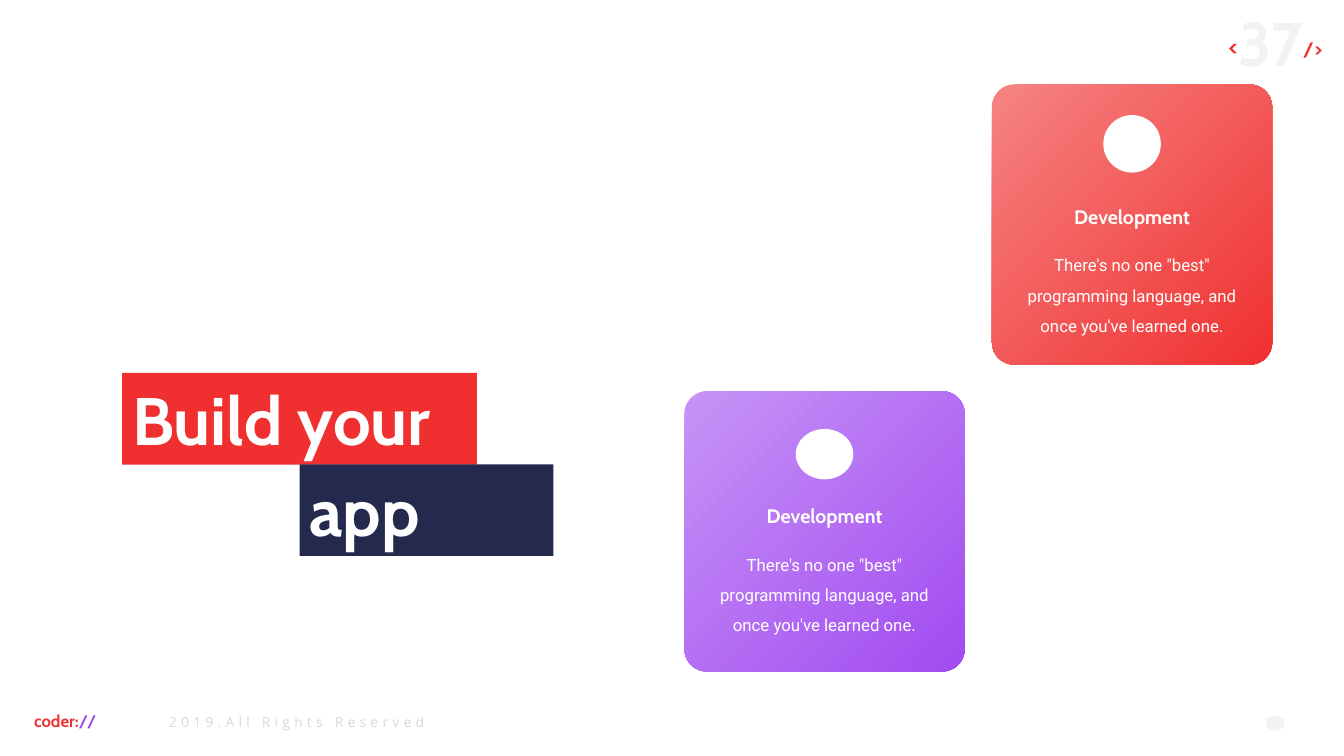
from dataclasses import dataclass

from pptx import Presentation
from pptx.dml.color import RGBColor
from pptx.enum.shapes import MSO_SHAPE
from pptx.enum.text import MSO_ANCHOR, MSO_AUTO_SIZE, PP_ALIGN
from pptx.util import Cm, Pt

RECT, ROUND, OVAL = MSO_SHAPE.RECTANGLE, MSO_SHAPE.ROUNDED_RECTANGLE, MSO_SHAPE.OVAL
LEFT, MID, RIGHT = PP_ALIGN.LEFT, PP_ALIGN.CENTER, PP_ALIGN.RIGHT
TOP, CENTER = MSO_ANCHOR.TOP, MSO_ANCHOR.MIDDLE
GROW = MSO_AUTO_SIZE.SHAPE_TO_FIT_TEXT


@dataclass(frozen=True)
class Theme:
    red: str = "F03030"
    rose: str = "F68383"
    purple: str = "A24BF0"
    lilac: str = "C793F6"
    navy: str = "232A4E"
    white: str = "FFFFFF"
    pale: str = "F2F2F2"
    gray: str = "D9D9D9"
    head: str = "Cabin"
    body: str = "Roboto"
    foot: str = "Open Sans"
    huge: int = 48
    page: int = 44
    open: int = 28
    close: int = 24
    title: int = 14
    text: int = 12
    small: int = 10


def write(para, text, *, size, font, color, bold=False, raised=0, track=0):
    """Add one formatted run to a paragraph."""
    run = para.add_run()
    run.text = text
    face = run.font
    face.size, face.name, face.bold = Pt(size), font, bold
    face.color.rgb = RGBColor.from_string(color)
    props = run._r.get_or_add_rPr()
    if raised:
        props.set("baseline", str(raised * 1000))
    if track:
        props.set("spc", str(track * 100))


class Deck:
    def __init__(self, theme):
        self.theme = theme
        self.prs = Presentation()
        self.prs.slide_width, self.prs.slide_height = Cm(33.87), Cm(19.05)
        self.slide = self.prs.slides.add_slide(self.prs.slide_layouts[6])

    def frame(self, shape, align, anchor=TOP, wrap=True, space=None):
        """Set up a shape's text and return its paragraph."""
        frame = shape.text_frame
        frame.word_wrap, frame.auto_size = wrap, GROW
        frame.vertical_anchor = anchor
        para = frame.paragraphs[0]
        para.alignment = align
        if space:
            para.line_spacing = space
        return para

    def label(self, x, y, w, h, align=LEFT, **opts):
        box = self.slide.shapes.add_textbox(Cm(x), Cm(y), Cm(w), Cm(h))
        return self.frame(box, align, **opts)

    def shape(self, kind, x, y, w, h, color=None):
        item = self.slide.shapes.add_shape(kind, Cm(x), Cm(y), Cm(w), Cm(h))
        item.shadow.inherit = False
        item.line.fill.background()
        if color:
            item.fill.solid()
            item.fill.fore_color.rgb = RGBColor.from_string(color)
        return item

    def banner(self, text, x, y, w, color):
        look = self.theme
        para = self.frame(self.shape(RECT, x, y, w, 2.31, color), LEFT)
        write(para, text, size=look.huge, font=look.head, color=look.white, bold=True)

    def card(self, x, y, light, dark, icon, drop):
        """Draw a card; icon is (top, height) and drop is the title's offset."""
        look, side, disc = self.theme, 7.06, 1.45
        panel = self.shape(ROUND, x, y, side, side)
        panel.adjustments[0] = 0.08
        panel.fill.gradient()
        panel.fill.gradient_angle = 315
        for stop, color in zip(panel.fill.gradient_stops, (light, dark)):
            stop.color.rgb = RGBColor.from_string(color)

        top, tall = icon
        self.shape(OVAL, x + (side - disc) / 2, y + top, disc, tall, look.white)

        para = self.label(x + 1.54, y + drop, 3.98, 0.94, MID, space=1.3)
        write(para, "Development", size=look.title, font=look.head,
              color=look.white, bold=True)
        para = self.label(x + 0.32, y + drop + 1.2, 6.42, 2.46, MID, space=1.5)
        write(para, "There's no one \"best\" programming language, "
              "and once you've learned one.",
              size=look.text, font=look.body, color=look.white)


def main():
    look = Theme()
    deck = Deck(look)

    # Page number
    para = deck.label(27.1, 0, 6.48, 2.13, RIGHT, anchor=CENTER)
    for text, size, color, raised in (("<", look.open, look.red, 30),
                                      ("37", look.page, look.pale, 0),
                                      ("/>", look.close, look.red, 30)):
        write(para, text, size=size, font=look.head, color=color,
              bold=True, raised=raised)

    # Footer
    para = deck.label(4.01, 17.86, 7.01, 0.69, wrap=False)
    write(para, "2019.All Rights Reserved", size=look.small, font=look.foot,
          color=look.gray, track=3)
    para = deck.label(0.61, 17.78, 2.16, 0.76, wrap=False)
    for text, color in (("coder:", look.red), ("//", look.purple)):
        write(para, text, size=look.text, font=look.head, color=color, bold=True)
    deck.shape(OVAL, 31.9, 18.03, 0.48, 0.38, look.pale)

    # Cards
    deck.card(17.25, 9.86, look.lilac, look.purple, (0.95, 1.27), 2.54)
    deck.card(25, 2.13, look.rose, look.red, (0.77, 1.45), 2.72)

    # Headline
    deck.banner("Build your", 3.08, 9.4, 8.94, look.red)
    deck.banner("app", 7.55, 11.7, 6.4, look.navy)

    deck.prs.save("out.pptx")


if __name__ == "__main__":
    main()
